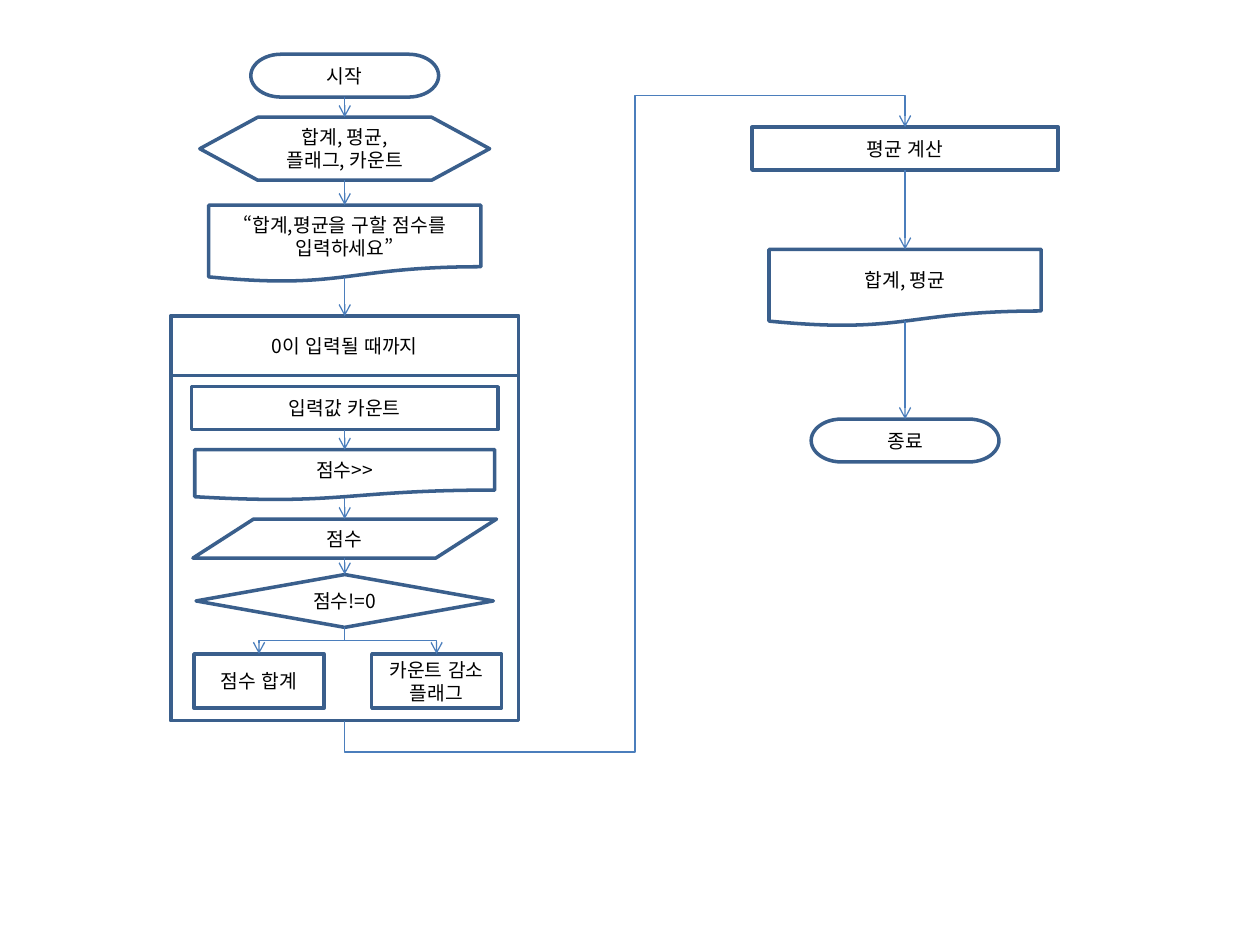
"""Build a flowchart that sums and averages entered scores."""
from dataclasses import dataclass
from lxml import etree as et
from pptx import Presentation
from pptx.dml.color import RGBColor
from pptx.enum import lang, shapes as sh, text as tx
from pptx.oxml import ns
from pptx.util import Pt

HUES = {"edge": "3A5F8C", "link": "4B7EBC", "text": "000000"}
FONT = "Noto Sans CJK KR"
LEFT, RIGHT = 197, 517.2
YES, NO = 148, 249.5
KIND = sh.MSO_SHAPE


@dataclass
class Node:
    kind: int
    mid: float
    top: float
    wide: float
    high: float
    text: str = ""


@dataclass
class Link:
    x1: float
    y1: float
    x2: float
    y2: float
    turn: int = 0
    bends: tuple = ()


def hue(name: str) -> RGBColor:
    return RGBColor.from_string(HUES[name])


def draw_node(tree, node: Node) -> None:
    box = tree.add_shape(node.kind, Pt(node.mid - node.wide / 2), Pt(node.top),
                         Pt(node.wide), Pt(node.high))
    box.shadow.inherit = False
    box.fill.background()
    box.line.color.rgb = hue("edge")
    box.line.width = Pt(2)
    if not node.text:
        return
    frame = box.text_frame
    frame.text = node.text
    frame.word_wrap = True
    frame.margin_top = frame.margin_bottom = Pt(0)
    frame.vertical_anchor = tx.MSO_ANCHOR.MIDDLE
    for para in frame.paragraphs:
        para.alignment = tx.PP_ALIGN.CENTER
        for run in para.runs:
            run.font.size = Pt(11)
            run.font.name = FONT
            run.font.language_id = lang.MSO_LANGUAGE_ID.KOREAN
            run.font.color.rgb = hue("text")
            et.SubElement(run.font._element, ns.qn("a:ea"), typeface=FONT)


def draw_link(tree, link: Link) -> None:
    kind = sh.MSO_CONNECTOR.ELBOW if link.turn else sh.MSO_CONNECTOR.STRAIGHT
    line = tree.add_connector(kind, Pt(link.x1), Pt(link.y1), Pt(link.x2), Pt(link.y2))
    line.line.color.rgb = hue("link")
    line.line.width = Pt(0.75)
    props = line._element.spPr
    et.SubElement(props.find(ns.qn("a:ln")), ns.qn("a:tailEnd"), type="arrow")
    et.SubElement(props, ns.qn("a:effectLst"))
    if link.turn:
        props.find(ns.qn("a:xfrm")).set("rot", str(link.turn * 60000))
    if link.bends:
        geom = props.find(ns.qn("a:prstGeom"))
        geom.set("prst", "bentConnector5")
        for num, bend in enumerate(link.bends, 1):
            et.SubElement(geom.find(ns.qn("a:avLst")), ns.qn("a:gd"),
                          name=f"adj{num}", fmla=f"val {round(bend * 100000)}")


def drop(mid: float, top: float, end: float) -> Link:
    return Link(mid, top, mid, end)


def elbow(x1: float, y1: float, x2: float, y2: float, bends: tuple = ()) -> Link:
    mid_x, mid_y = (x1 + x2) / 2, (y1 + y2) / 2
    turn = 270 if x2 > x1 and y2 > y1 else 90
    sign = 1 if turn == 270 else -1
    half_w, half_h = sign * (y2 - y1) / 2, sign * (x2 - x1) / 2
    return Link(mid_x + half_w, mid_y - half_h, mid_x - half_w, mid_y + half_h, turn, bends)


INTRO = [
    Node(KIND.FLOWCHART_TERMINATOR, LEFT, 31, 107.3, 24.5, "시작"),
    Node(KIND.FLOWCHART_TERMINATOR, RIGHT, 239.5, 107.3, 24.5, "종료"),
    Node(KIND.FLOWCHART_PREPARATION, LEFT, 67, 165.6, 36, "합계, 평균,\n플래그, 카운트"),
    Node(KIND.FLOWCHART_DOCUMENT, LEFT, 117.2, 155.5, 43.9,
         "“합계,평균을 구할 점수를 입력하세요”"),
]
LOOP = [
    Node(KIND.FLOWCHART_PROCESS, LEFT, 180.7, 198.7, 231.1),
    Node(KIND.FLOWCHART_PROCESS, LEFT, 180.7, 198.7, 33.8, "0이 입력될 때까지"),
    Node(KIND.FLOWCHART_PROCESS, LEFT, 221, 175, 24.5, "입력값 카운트"),
    Node(KIND.FLOWCHART_DOCUMENT, LEFT, 257, 171.4, 28.8, "점수>>"),
    Node(KIND.FLOWCHART_DATA, LEFT, 296.6, 173.5, 22.3, "점수"),
    Node(KIND.FLOWCHART_DECISION, LEFT, 328.3, 169.9, 30.2, "점수!=0"),
    Node(KIND.FLOWCHART_PROCESS, YES, 373.7, 74.2, 31, "점수 합계"),
    Node(KIND.FLOWCHART_PROCESS, NO, 373.7, 74.2, 31, "카운트 감소\n플래그"),
    drop(LEFT, 245.5, 257),
    drop(LEFT, 284.4, 296.6),
    drop(LEFT, 319, 328.3),
    elbow(LEFT, 358.5, YES, 373.7),
    elbow(LEFT, 358.5, NO, 373.7),
]
REST = [
    drop(LEFT, 55.5, 67),
    drop(LEFT, 103, 117.2),
    drop(LEFT, 158.4, 180.7),
    Node(KIND.FLOWCHART_PROCESS, RIGHT, 72.7, 175, 24.5, "평균 계산"),
    Node(KIND.FLOWCHART_DOCUMENT, RIGHT, 142.5, 155.5, 43.9, "합계, 평균"),
    elbow(LEFT, 411.8, RIGHT, 72.7, (-0.053, 0.518, 1.053)),
    drop(RIGHT, 97.2, 142.5),
    drop(RIGHT, 183.6, 239.5),
]


def draw(tree, parts: list) -> None:
    for part in parts:
        (draw_node if isinstance(part, Node) else draw_link)(tree, part)


deck = Presentation()
deck.slide_width, deck.slide_height = Pt(720), Pt(540)
slide = deck.slides.add_slide(deck.slide_layouts[6])
draw(slide.shapes, INTRO)
draw(slide.shapes.add_group_shape().shapes, LOOP)
draw(slide.shapes, REST)
deck.save("out.pptx")
